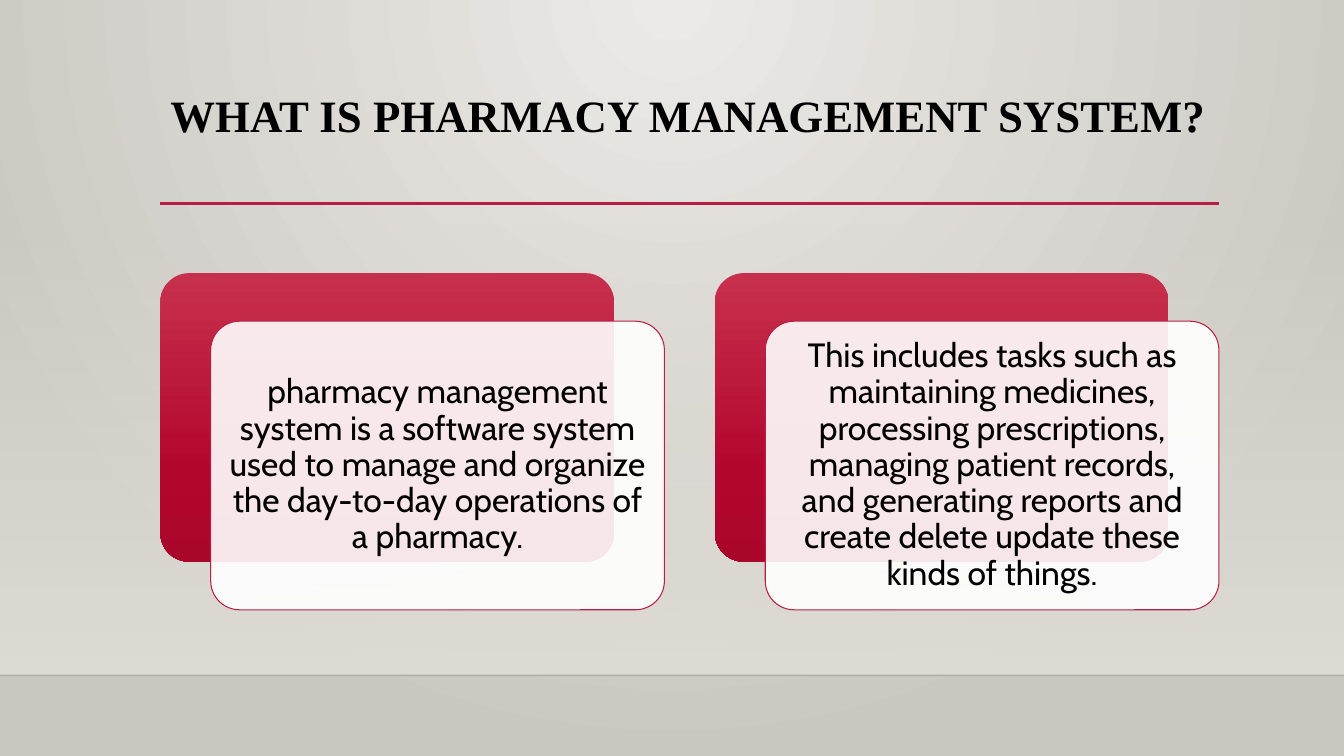
from dataclasses import dataclass

from lxml import etree
from pptx import Presentation
from pptx import util as u
from pptx.dml.color import RGBColor
from pptx.enum import shapes, text
from pptx.oxml import parse_xml
from pptx.oxml.ns import qn

NS = "http://schemas.openxmlformats.org/drawingml/2006/main"


@dataclass(frozen=True)
class Theme:
    ink: str = "000000"
    rule: str = "B71E42"
    edge: str = "000001"
    paper: str = "FFFFFF"
    back: tuple = ((0, "ECEAE7", 100), (100, "CAC7C1", 100))
    wall: tuple = ((0, "DFDBD5", 0), (100, "DFDBD5", 100))
    card: tuple = ((0, "C7304C", 100), (69, "B3062F", 100), (100, "AA062C", 100))
    head: str = "Times New Roman"
    body: str = "Cabin"
    big: int = 32
    mid: int = 24


T = Theme()
WIDE, HIGH = 13.33, 7.5
FLOOR = 6.7
MAIN = (1.59, 2.71, 10.5, 3.34)
COLS, ROWS = 21, 7
DOWN = '<a:lin ang="5400000" scaled="0"/>'
GLOW = '<a:path path="circle"><a:fillToRect l="43000" r="43000" b="100000"/></a:path>'
NOTES = (
    "pharmacy management system is a software system used to manage and organize "
    "the day-to-day operations of a pharmacy.",
    "This includes tasks such as maintaining medicines, processing prescriptions, "
    "managing patient records, and generating reports and create delete update "
    "these kinds of things.",
)


def fade(node, alpha):
    etree.SubElement(node, qn("a:alpha")).set("val", str(alpha * 1000))


def blend(fill, root, stops, kind):
    fill.solid()
    old = root.find(".//" + qn("a:solidFill"))
    marks = "".join(
        f'<a:gs pos="{pos * 1000}"><a:srgbClr val="{tone}">'
        f'<a:alpha val="{alpha * 1000}"/></a:srgbClr></a:gs>'
        for pos, tone, alpha in stops
    )
    new = parse_xml(
        f'<a:gradFill xmlns:a="{NS}" rotWithShape="1">'
        f"<a:gsLst>{marks}</a:gsLst>{kind}</a:gradFill>"
    )
    old.getparent().replace(old, new)


def block(slide, kind, box):
    shape = slide.shapes.add_shape(kind, *map(u.Inches, box))
    shape.shadow.inherit = False
    shape.line.fill.background()
    return shape


def stroke(slide, x, y, wide, tone, size, alpha=100):
    line = slide.shapes.add_connector(
        shapes.MSO_CONNECTOR.STRAIGHT, *map(u.Inches, (x, y, x + wide, y))
    )
    line.line.width = u.Pt(size)
    line.line.color.rgb = RGBColor.from_string(tone)
    fade(line.element.spPr.find(".//" + qn("a:srgbClr")), alpha)
    etree.SubElement(line.element.spPr, qn("a:effectLst"))


def write(shape, words, font, size, bold=False, align="LEFT", anchor="TOP",
          pad=(0.1, 0.05, 0.1, 0.05)):
    frame = shape.text_frame
    frame.word_wrap = True
    frame.auto_size = text.MSO_AUTO_SIZE.NONE
    frame.vertical_anchor = text.MSO_ANCHOR[anchor]
    (frame.margin_left, frame.margin_top,
     frame.margin_right, frame.margin_bottom) = map(u.Inches, pad)
    para = frame.paragraphs[0]
    para.alignment = text.PP_ALIGN[align]
    para.line_spacing = 0.9
    run = para.add_run()
    run.text = words
    run.font.name = font
    run.font.size = u.Pt(size)
    run.font.bold = bold
    run.font.color.rgb = RGBColor.from_string(T.ink)


def stage(slide):
    blend(slide.background.fill, slide.element, T.back, GLOW)
    top = MAIN[1] - 0.5
    wall = block(slide, shapes.MSO_SHAPE.RECTANGLE, (0, top, WIDE, FLOOR - top))
    blend(wall.fill, wall.element.spPr, T.wall, DOWN)
    stroke(slide, 0, FLOOR, WIDE, T.edge, 1, 20)


def header(slide, box):
    x, y, wide, high = box
    stroke(slide, x, y + high, wide, T.rule, 2.5)
    title = slide.shapes.title
    title.left, title.top, title.width, title.height = map(u.Inches, box)
    write(title, "WHAT IS PHARMACY MANAGEMENT SYSTEM?", T.head, T.big, bold=True,
          pad=(0.1, 0.05, 0, 0.05))


def card(slide, box, words):
    x, y, wide, high = box
    col, row = wide / 10, high / ROWS
    size = (9 * col, 6 * row)
    back, front = (
        block(slide, shapes.MSO_SHAPE.ROUNDED_RECTANGLE,
              (x + step * col, y + step * row, *size))
        for step in range(2)
    )
    for panel in (back, front):
        panel.adjustments[0] = 0.1
    blend(back.fill, back.element.spPr, T.card, DOWN)
    front.fill.solid()
    front.fill.fore_color.rgb = RGBColor.from_string(T.paper)
    fade(front.element.spPr.find(".//" + qn("a:srgbClr")), 90)
    front.line.color.rgb = RGBColor.from_string(T.rule)
    front.line.width = u.Pt(0.75)
    write(front, words, T.body, T.mid, align="CENTER", anchor="MIDDLE",
          pad=(0.1,) * 4)


def cards(slide, box):
    x, y, wide, high = box
    col = wide / COLS
    for i, words in enumerate(NOTES):
        card(slide, (x + 11 * i * col, y, 10 * col, high), words)


def main():
    deck = Presentation()
    deck.slide_width, deck.slide_height = u.Inches(WIDE), u.Inches(HIGH)
    slide = deck.slides.add_slide(deck.slide_layouts[5])
    stage(slide)
    header(slide, (MAIN[0], 0.88, MAIN[2], 1.14))
    cards(slide, MAIN)
    deck.save("out.pptx")


if __name__ == "__main__":
    main()
